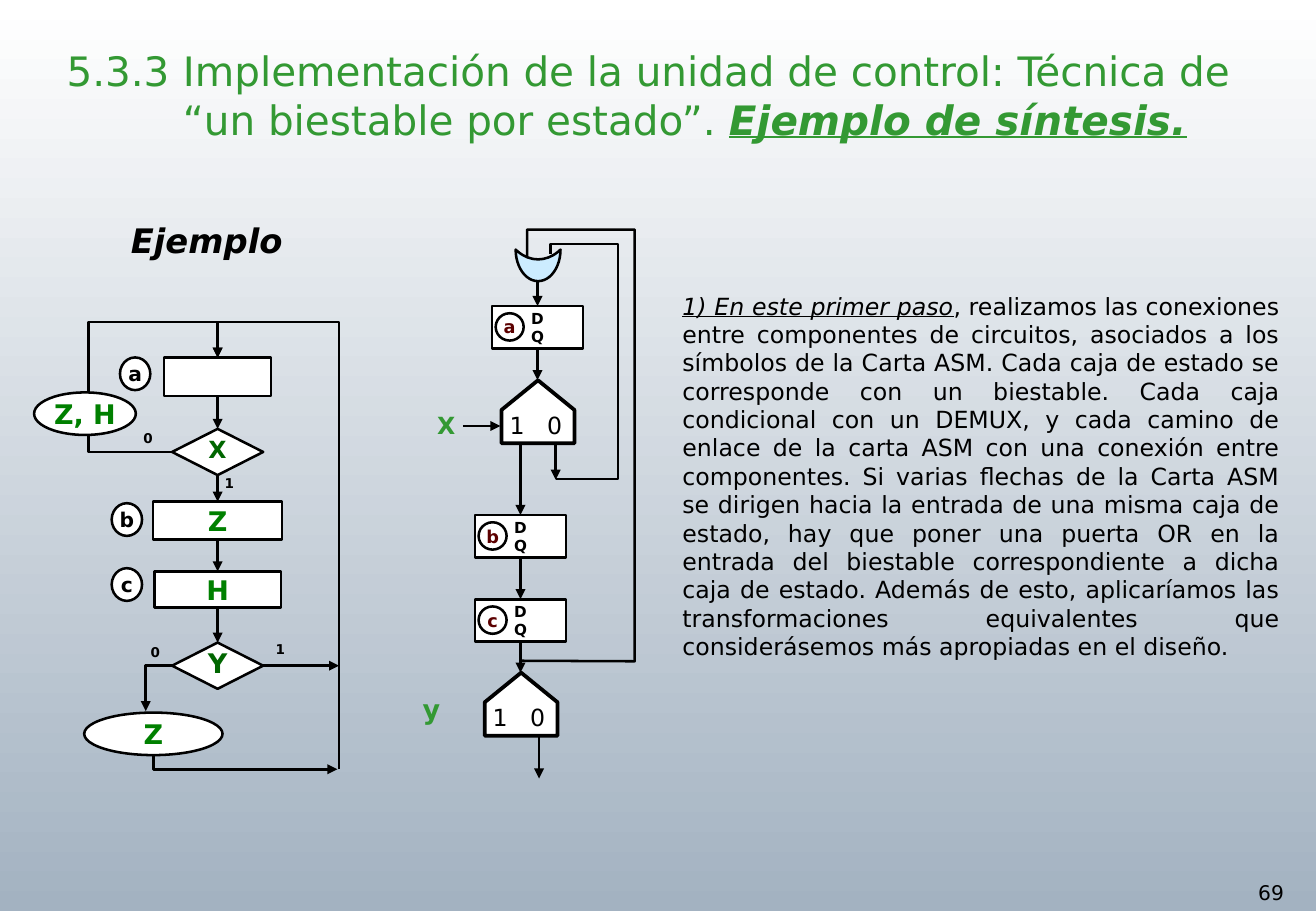
from itertools import pairwise

from lxml import etree
from pptx import Presentation
from pptx.dml.color import RGBColor
from pptx.enum.shapes import MSO_CONNECTOR, MSO_SHAPE
from pptx.enum.text import MSO_ANCHOR, PP_ALIGN
from pptx.oxml.ns import qn
from pptx.util import Pt

BLACK = RGBColor(0, 0, 0)
WHITE = RGBColor(0xFF, 0xFF, 0xFF)
STEEL = RGBColor(0xA3, 0xB2, 0xC1)
LEAF = RGBColor(0x33, 0x99, 0x33)
GREEN = RGBColor(0, 0x80, 0)
DARK = RGBColor(0, 0x66, 0)
WINE = RGBColor(0x5C, 0, 0)
SKY = RGBColor(0xCC, 0xEC, 0xFF)
RECT, OVAL = MSO_SHAPE.RECTANGLE, MSO_SHAPE.OVAL
RHOMB = MSO_SHAPE.FLOWCHART_DECISION
PLATE, MOON = MSO_SHAPE.PENTAGON, MSO_SHAPE.MOON
LINE = MSO_CONNECTOR.STRAIGHT
LEFT, CENTER, FULL = PP_ALIGN.LEFT, PP_ALIGN.CENTER, PP_ALIGN.JUSTIFY
TOP, MIDDLE, BOTTOM = MSO_ANCHOR.TOP, MSO_ANCHOR.MIDDLE, MSO_ANCHOR.BOTTOM

deck = Presentation()
deck.slide_width, deck.slide_height = Pt(780), Pt(540)
slide = deck.slides.add_slide(deck.slide_layouts[6])
shapes = slide.shapes


def write(text, x, y, w, h, kind=None, fill=WHITE, edge=1.5, size=14,
          color=BLACK, bold=False, italic=False, mark=None, strong=False,
          align=CENTER, anchor=MIDDLE, inset=(0, 0), hang=0, lead=None):
    """Add a text box, or a shape of the given kind, with its text."""
    area = Pt(x), Pt(y), Pt(w), Pt(h)
    if kind is None:
        item = shapes.add_textbox(*area)
    else:
        item = shapes.add_shape(kind, *area)
        item.shadow.inherit = False
        item.fill.solid()
        item.fill.fore_color.rgb = fill
        item.line.color.rgb = BLACK
        item.line.width = Pt(edge)
    frame = item.text_frame
    frame.word_wrap = True
    frame.vertical_anchor = anchor
    frame.margin_left = frame.margin_right = Pt(inset[0])
    frame.margin_top = frame.margin_bottom = Pt(inset[1])
    for n, row in enumerate(text.split("\n")):
        para = frame.add_paragraph() if n else frame.paragraphs[0]
        para.alignment = align
        if lead:
            para.line_spacing = lead
        if hang:
            props = para._p.get_or_add_pPr()
            props.set("marL", str(Pt(hang)))
            props.set("indent", str(-Pt(hang)))
        for piece in row.partition(mark) if mark else (row,):
            for k, part in enumerate(piece.split("\v")):
                if k:
                    para.add_line_break()
                if not part:
                    continue
                run = para.add_run()
                run.text = part
                font = run.font
                font.name, font.size = "DejaVu Sans", Pt(size)
                font.color.rgb = color
                font.bold = bold or (strong and piece == mark)
                font.italic = italic or piece == mark
                font.underline = piece == mark
    return item


def draw(points, width=1.5, arrow=True):
    """Draw a line through the points, a connector if there are two."""
    ends = [(Pt(x), Pt(y)) for x, y in points]
    if len(ends) == 2:
        item = shapes.add_connector(LINE, *ends[0], *ends[1])
    else:
        path = shapes.build_freeform(*ends[0])
        path.add_line_segments(ends[1:], close=False)
        item = path.convert_to_shape()
        item.fill.background()
    item.line.color.rgb = BLACK
    item.line.width = Pt(width)
    props = item._element.spPr
    if arrow:
        etree.SubElement(props.find(qn("a:ln")), qn("a:tailEnd"), type="triangle")
    etree.SubElement(props, qn("a:effectLst"))
    return item


# Background
back = slide.background.fill
back.gradient()
back.gradient_angle = 270
for stop, tint in zip(back.gradient_stops, (WHITE, STEEL)):
    stop.color.rgb = tint

# Title, body text and page number
write("5.3.3\tImplementación de la unidad de control: Técnica de\v"
      "“un biestable por estado”. Ejemplo de síntesis.",
      32.4, 28, 747.6, 60.5, size=24, color=LEAF, mark="Ejemplo de síntesis.",
      strong=True, align=LEFT, anchor=BOTTOM, inset=(7.2, 3.6), hang=69)
write("1) En este primer paso, realizamos las conexiones entre componentes de "
      "circuitos, asociados a los símbolos de la Carta ASM. Cada caja de estado "
      "se corresponde con un biestable. Cada caja condicional con un DEMUX, y "
      "cada camino de enlace de la carta ASM con una conexión entre "
      "componentes. Si varias flechas de la Carta ASM se dirigen hacia la "
      "entrada de una misma caja de estado, hay que poner una puerta OR en la "
      "entrada del biestable correspondiente a dicha caja de estado. Además de "
      "esto, aplicaríamos las transformaciones equivalentes que considerásemos "
      "más apropiadas en el diseño.",
      404.5, 172.8, 354, 220, mark="1) En este primer paso", align=FULL, anchor=TOP)
for text, x, y, w, h, form in (
        ("69", 738.7, 518.4, 41, 21.6, dict(size=12)),
        ("Ejemplo", 70.5, 126.7, 113, 31.7, dict(size=20, bold=True, italic=True)),
        ("X", 252, 239.8, 25.2, 24.5, dict(color=LEAF, bold=True)),
        ("y", 243.4, 406.8, 25.2, 26.6, dict(size=16, color=LEAF, bold=True))):
    write(text, x, y, w, h, align=LEFT, anchor=TOP, inset=(7.2, 3.6), **form)

# ASM chart: return paths
AXIS = 129
draw([(102, 267.9), (52.5, 267.9), (52.5, 191), (AXIS, 191), (AXIS, 212)])
draw([(201, 456), (201, 191), (AXIS, 191), (AXIS, 212)])
draw([(102, 394.6), (86.4, 394.6), (86.4, 421.5)])
draw([(91, 447), (91, 456), (200, 456)])

# ASM chart: column of boxes and their links
steps = []
for text, kind, y, w, h, form in (
        ("", RECT, 212, 63.5, 22.8, {}),
        ("X", RHOMB, 254.2, 54, 27.4, dict(color=DARK, lead=0.8)),
        ("Z", RECT, 297.4, 76.3, 22.3, dict(size=16, color=GREEN)),
        ("H", RECT, 338.7, 75, 21.6, dict(size=16, color=GREEN)),
        ("Y", RHOMB, 380.9, 54, 27.4, dict(size=16, color=DARK, lead=0.8))):
    steps.append(write(text, AXIS - w / 2, y, w, h, kind, bold=True, **form))
for upper, lower in pairwise(steps):
    link = draw([(AXIS, 0), (AXIS, 9)])
    link.begin_connect(upper, 2)
    link.end_connect(lower, 0)
draw([(156, 394.6), (201, 394.6)]).begin_connect(steps[-1], 3)

# ASM chart: outputs, state names and branch values
for text, x, y, w in (("Z, H", 20.2, 232.6, 60.3), ("Z", 49.9, 422.4, 82)):
    write(text, x, y, w, 25.2, OVAL, size=16, color=GREEN, bold=True)
for text, x, y in (("a", 71.1, 211.9), ("b", 66.2, 298.3), ("c", 66.2, 336.8)):
    write(text, x, y, 18, 19.4, OVAL, size=12, bold=True)
for text, x, y in (("0", 89.3, 381.6), ("1", 163.4, 380.2),
                   ("0", 85, 254.9), ("1", 133.2, 281.5)):
    write(text, x, y, 9, 13.7, size=8, bold=True, align=LEFT, anchor=TOP)

# Circuit: return paths and OR gate
draw([(329.4, 284), (366.3, 284), (366.3, 144.7), (326.3, 144.7),
      (326.3, 150.5)], arrow=False)
draw([(312.5, 152.5), (312.5, 136.1), (376.2, 136.1), (376.2, 392),
      (308.5, 391.7)], arrow=False)
gate = write("", 309.6, 144, 18.7, 26.6, MOON, fill=SKY)
gate.rotation = 270
gate.adjustments[0] = 0.69

# Circuit: flip-flops
flops = []
for name, x, y in (("a", 291.6, 181.4), ("b", 281.5, 305.3), ("c", 281.5, 355.2)):
    flops.append(write("D\nQ", x, y, 54, 25.2, RECT, size=9, bold=True))
    write(name, x + 2.2, y + 4.3, 16.6, 16.2, OVAL, size=10.5, color=WINE, bold=True)

# Circuit: demultiplexers
for x, y in ((318.9, 244.1), (308.9, 417.4)):
    demux = write("", x - 18.7, y - 21.6, 37.4, 43.2, PLATE, edge=2.25)
    demux.rotation = 270
    demux.adjustments[0] = 0.47
    for digit, shift in (("1", -12.4), ("0", 9.8)):
        write(digit, x + shift - 10, y - 0.7, 20, 17, anchor=TOP)

# Circuit: links
first, second, third = flops
for x, top, bottom, upper, lower in (
        (318.6, 167, 181.4, None, first), (318.6, 206.6, 225.4, first, None),
        (308.5, 262.8, 305.3, None, second), (308.5, 330.5, 355.2, second, third),
        (308.5, 380.4, 398.7, third, None), (329.4, 262.8, 284.4, None, None),
        (319.5, 436.1, 461.5, None, None)):
    link = draw([(x, top), (x, bottom)])
    if upper:
        link.begin_connect(upper, 2)
    if lower:
        link.end_connect(lower, 0)
draw([(274.3, 252.5), (296.6, 252.5)], width=0.75)

deck.save("out.pptx")
